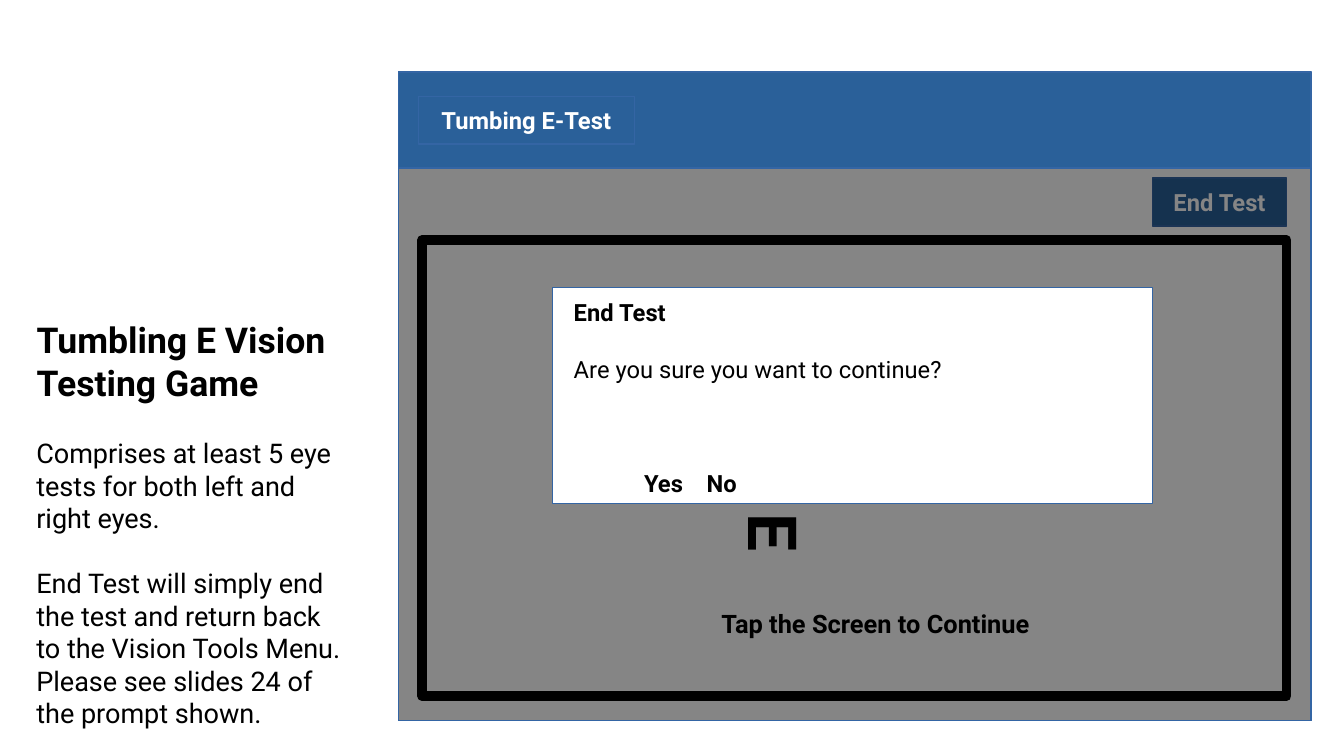
from dataclasses import dataclass
from typing import Optional

from lxml.etree import SubElement
from pptx import Presentation
from pptx.dml.color import RGBColor
from pptx.enum.shapes import MSO_SHAPE
from pptx.enum.text import MSO_ANCHOR as Anchor, MSO_AUTO_SIZE as AutoSize, PP_ALIGN as Align
from pptx.oxml.ns import qn
from pptx.util import Pt

FONT = "Roboto"
BLACK, WHITE = "000000", "FFFFFF"
BLUE, OUTLINE = "2A6099", "3465A4"

# Edges shared by the parts of the app screen
SCREEN_LEFT, SCREEN_TOP, SCREEN_WIDTH, SCREEN_HEIGHT = 235.4, 42.5, 538.6, 382.8
HEADER_HEIGHT = 56.8


@dataclass
class Text:
    content: str
    size: float
    bold: bool = False
    color: str = BLACK
    align: Align = Align.LEFT
    space_before: float = 0
    tabs: tuple[float, ...] = ()


@dataclass
class Panel:
    left: float
    top: float
    width: float
    height: float
    fill: Optional[str] = WHITE
    opacity: int = 100
    line: str = OUTLINE
    line_width: float = 0
    label: Optional[Text] = None


@dataclass
class Caption:
    left: float
    top: float
    width: float
    height: float
    texts: list[Text]
    rotation: float = 0


def rgb(color: str) -> RGBColor:
    return RGBColor.from_string(color)


def write(shape, texts: list[Text], anchor=Anchor.TOP, left=7.2, top=3.6) -> None:
    frame = shape.text_frame
    frame.word_wrap = True
    frame.auto_size = AutoSize.NONE
    frame.vertical_anchor = anchor
    frame.margin_left, frame.margin_right = Pt(left), Pt(7.2)
    frame.margin_top, frame.margin_bottom = Pt(top), Pt(3.6)
    for index, text in enumerate(texts):
        paragraph = frame.add_paragraph() if index else frame.paragraphs[0]
        paragraph.alignment = text.align
        if index:
            paragraph.space_before = Pt(text.space_before)
        if text.tabs:
            tab_list = SubElement(paragraph._p.get_or_add_pPr(), qn("a:tabLst"))
            for position in text.tabs:
                SubElement(tab_list, qn("a:tab"), pos=str(Pt(position)), algn="l")
        run = paragraph.add_run()
        run.text = text.content
        font = run.font
        font.name, font.size, font.bold = FONT, Pt(text.size), text.bold
        font.color.rgb = rgb(text.color)


def draw_panel(slide, panel: Panel):
    shape = slide.shapes.add_shape(
        MSO_SHAPE.RECTANGLE, Pt(panel.left), Pt(panel.top), Pt(panel.width), Pt(panel.height))
    shape.shadow.inherit = False
    if panel.fill is None:
        shape.fill.background()
    else:
        shape.fill.solid()
        shape.fill.fore_color.rgb = rgb(panel.fill)
    if panel.opacity < 100:
        color = shape._element.spPr.find(qn("a:solidFill"))[0]
        SubElement(color, qn("a:alpha"), val=str(panel.opacity * 1000))
    shape.line.color.rgb = rgb(panel.line)
    shape.line.width = Pt(panel.line_width)
    SubElement(shape._element.spPr.find(qn("a:ln")), qn("a:round"))
    if panel.label:
        write(shape, [panel.label], Anchor.MIDDLE)
    return shape


def draw_caption(slide, caption: Caption) -> None:
    shape = slide.shapes.add_textbox(
        Pt(caption.left), Pt(caption.top), Pt(caption.width), Pt(caption.height))
    shape.rotation = caption.rotation
    write(shape, caption.texts)


def button_label(content: str) -> Text:
    return Text(content, 14, True, WHITE, Align.CENTER)


SCREEN = [
    Panel(SCREEN_LEFT, SCREEN_TOP, SCREEN_WIDTH, SCREEN_HEIGHT),
    Panel(SCREEN_LEFT, SCREEN_TOP, SCREEN_WIDTH, HEADER_HEIGHT, BLUE),
    Panel(247, 56.8, 127.5, 28.3, None, label=button_label("Tumbing E-Test")),
    Panel(249.2, 141.8, 510.4, 269.3, line=BLACK, line_width=5.67),
    Panel(680.4, 105.2, 79.2, 28.3, BLUE, label=button_label("End Test")),
]
CAPTIONS = [
    Caption(14.4, 254.3, 198.7, 177.5, [
        Text("Comprises at least 5 eye tests for both left and right eyes.", 16),
        Text("End Test will simply end the test and return back to the Vision Tools Menu. "
             "Please see slides 24 of the prompt shown.", 16, space_before=19.2),
    ]),
    Caption(436.3, 288.7, 46, 51.8, [Text("E", 40, True, align=Align.CENTER)], 90),
    Caption(382.3, 355.7, 269.3, 23.8,
            [Text("Tap the Screen to Continue", 15, True, align=Align.CENTER)]),
]
OVERLAY = Panel(SCREEN_LEFT, SCREEN_TOP + HEADER_HEIGHT, SCREEN_WIDTH,
                SCREEN_HEIGHT - HEADER_HEIGHT, BLACK, 48)
DIALOG = Panel(326.2, 169.9, 354.2, 127.4)
DIALOG_TEXTS = [
    Text("End Test", 14, True),
    Text("Are you sure you want to continue?", 14, space_before=16.8),
    Text("\tYes\tNo", 14, True, space_before=50.4, tabs=(41.5, 78.5)),
]


def main() -> None:
    presentation = Presentation()
    presentation.slide_width, presentation.slide_height = Pt(793.44), Pt(446.4)
    slide = presentation.slides.add_slide(presentation.slide_layouts[5])

    # Slide title
    title = slide.shapes.title
    title.left, title.top, title.width, title.height = Pt(14.4), Pt(184.3), Pt(198.7), Pt(60)
    write(title, [Text("Tumbling E Vision Testing Game", 21, True)])

    # App screen and its texts
    for panel in SCREEN:
        draw_panel(slide, panel)
    for caption in CAPTIONS:
        draw_caption(slide, caption)

    # Dimmed screen with the confirmation dialog
    draw_panel(slide, OVERLAY)
    write(draw_panel(slide, DIALOG), DIALOG_TEXTS, left=12.5, top=5.8)

    presentation.save("out.pptx")


if __name__ == "__main__":
    main()
